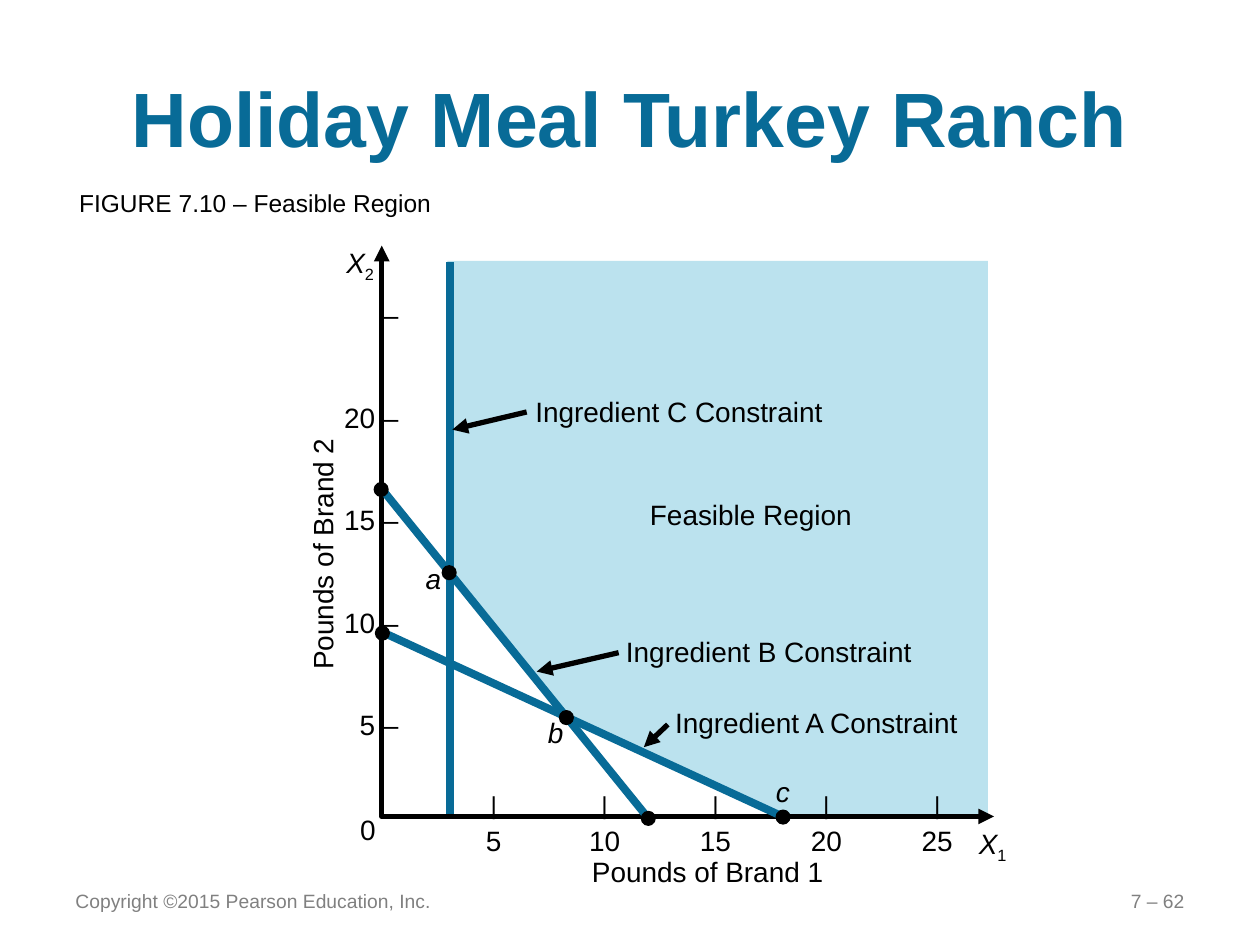
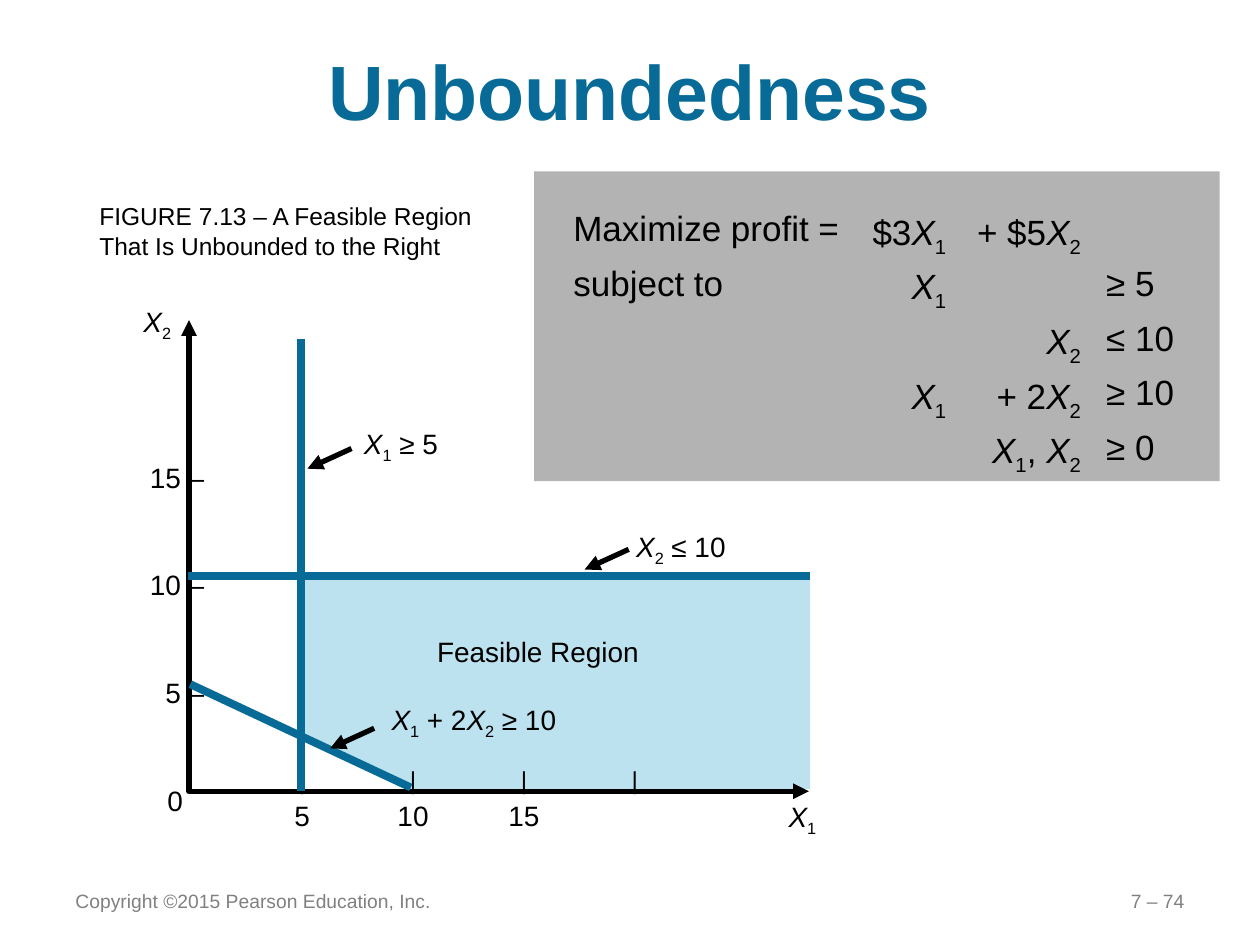
from dataclasses import dataclass

from lxml import etree
from pptx import Presentation
from pptx.dml.color import RGBColor
from pptx.enum import shapes, text
from pptx.oxml import ns
from pptx.util import Inches, Pt

Point = tuple[float, float]


@dataclass(frozen=True)
class Theme:
    font: str = "Arial"
    blue: RGBColor = RGBColor(0x08, 0x6B, 0x97)
    region: RGBColor = RGBColor(0xBB, 0xE2, 0xEE)
    panel: RGBColor = RGBColor(0xB3, 0xB3, 0xB3)
    black: RGBColor = RGBColor(0, 0, 0)
    gray: RGBColor = RGBColor(0x80, 0x80, 0x80)
    title: int = 44
    table: int = 20
    label: int = 16
    small: int = 14
    footer: int = 11
    thick: float = 4.5
    thin: float = 3


THEME = Theme()
LEFT, CENTER, RIGHT = text.PP_ALIGN.LEFT, text.PP_ALIGN.CENTER, text.PP_ALIGN.RIGHT
TOP, MIDDLE = text.MSO_ANCHOR.TOP, text.MSO_ANCHOR.MIDDLE
NO_STYLE_TABLE = "{2D5ABB26-0587-4C30-8999-92F81FD0307C}"
TICK_STEP = 0.88
LABEL_HEIGHT = 0.37


@dataclass(frozen=True)
class Label:
    text: str
    left: float
    top: float
    width: float
    italic: bool = False
    rotation: float = 0
    align: text.PP_ALIGN = LEFT


@dataclass(frozen=True)
class Line:
    start: Point
    end: Point


@dataclass(frozen=True)
class Axes:
    top: Point
    origin: Point
    end: Point
    y_ticks: list[str]
    y_ticks_at: Point
    y_spacing: float
    x_ticks: list[str]
    x_ticks_at: Point
    first_tab: float
    labels: list[Label]


def style_paragraph(paragraph, size: float, color=THEME.black, align=LEFT,
                    bold: bool | None = None, italic: bool | None = None) -> None:
    font = paragraph.font
    font.name, font.size, font.bold, font.italic = THEME.font, Pt(size), bold, italic
    font.color.rgb = color
    paragraph.alignment = align


def write_math(paragraph, content: str) -> None:
    """Write text in which each X is italic and the digit after it a subscript."""
    head, *variables = content.split("X")
    if head:
        paragraph.add_run().text = head
    for part in variables:
        variable = paragraph.add_run()
        variable.text, variable.font.italic = "X", True
        index = paragraph.add_run()
        index.text = part[0]
        index._r.get_or_add_rPr().set("baseline", "-25000")
        if part[1:]:
            paragraph.add_run().text = part[1:]


def add_frame(slide, left: float, top: float, width: float, height: float,
              anchor=TOP, wrap: bool = True):
    box = slide.shapes.add_textbox(Inches(left), Inches(top), Inches(width), Inches(height))
    box.text_frame.word_wrap = wrap
    box.text_frame.vertical_anchor = anchor
    return box


def add_text(slide, content: str, left: float, top: float, width: float, height: float,
             size: float, color=THEME.black, align=LEFT, anchor=TOP, bold=None) -> None:
    paragraph = add_frame(slide, left, top, width, height, anchor).text_frame.paragraphs[0]
    paragraph.add_run().text = content
    style_paragraph(paragraph, size, color, align, bold)


def add_label(slide, label: Label) -> None:
    box = add_frame(slide, label.left, label.top, label.width, LABEL_HEIGHT, wrap=False)
    box.text_frame.auto_size = text.MSO_AUTO_SIZE.SHAPE_TO_FIT_TEXT
    box.rotation = label.rotation
    paragraph = box.text_frame.paragraphs[0]
    write_math(paragraph, label.text)
    style_paragraph(paragraph, THEME.label, align=label.align, italic=label.italic or None)


def add_arrowheads(shape, *ends: str) -> None:
    outline = shape.line._get_or_add_ln()
    for end in ends:
        etree.SubElement(outline, ns.qn(f"a:{end}"), type="triangle")


def add_line(slide, line: Line, color, width: float):
    connector = slide.shapes.add_connector(
        shapes.MSO_CONNECTOR.STRAIGHT, *(Inches(v) for v in line.start + line.end))
    connector.line.color.rgb, connector.line.width = color, Pt(width)
    etree.SubElement(connector._element.spPr, ns.qn("a:effectLst"))
    return connector


def add_constraint(slide, line: Line) -> None:
    add_line(slide, line, THEME.blue, THEME.thick)


def add_pointer(slide, line: Line) -> None:
    add_arrowheads(add_line(slide, line, THEME.black, THEME.thin), "tailEnd")


def add_outline(slide, points: list[Point], close: bool):
    first, *rest = [(Inches(x), Inches(y)) for x, y in points]
    builder = slide.shapes.build_freeform(*first)
    builder.add_line_segments(rest, close=close)
    shape = builder.convert_to_shape()
    shape.shadow.inherit = False
    return shape


def fill_plain(shape, color) -> None:
    shape.shadow.inherit = False
    shape.fill.solid()
    shape.fill.fore_color.rgb = color
    shape.line.fill.background()


def add_region(slide, points: list[Point]) -> None:
    fill_plain(add_outline(slide, points, close=True), THEME.region)


def add_dot(slide, left: float, top: float) -> None:
    dot = slide.shapes.add_shape(shapes.MSO_SHAPE.OVAL, Inches(left), Inches(top),
                                 Inches(0.11), Inches(0.11))
    fill_plain(dot, THEME.black)
    dot.line.color.rgb, dot.line.width = THEME.black, Pt(0.75)


def add_tabs(paragraph, first: float, count: int) -> None:
    tabs = etree.SubElement(paragraph._p.get_or_add_pPr(), ns.qn("a:tabLst"))
    for index in range(count):
        position = Inches(first + index * TICK_STEP)
        etree.SubElement(tabs, ns.qn("a:tab"), pos=str(position), algn="ctr")


def add_axes(slide, axes: Axes) -> None:
    right, top = axes.y_ticks_at
    column = add_frame(slide, right - 0.64, top, 0.64, 3.5).text_frame
    for index, tick in enumerate(axes.y_ticks):
        paragraph = column.add_paragraph() if index else column.paragraphs[0]
        paragraph.add_run().text = f"{tick} –".strip()
        style_paragraph(paragraph, THEME.label, align=RIGHT)
        paragraph.line_spacing = axes.y_spacing

    cross = add_outline(slide, [axes.top, axes.origin, axes.end], close=False)
    cross.fill.background()
    cross.line.color.rgb, cross.line.width = THEME.black, Pt(THEME.thin)
    add_arrowheads(cross, "headEnd", "tailEnd")

    rows = add_frame(slide, *axes.x_ticks_at, 5.2, 0.69).text_frame
    count = len(axes.x_ticks)
    marks, numbers = rows.paragraphs[0], rows.add_paragraph()
    marks.add_run().text = "\t"
    strokes = marks.add_run()
    strokes.text, strokes.font.size = "\t".join("|" * count), Pt(THEME.small)
    numbers.add_run().text = "\t" + "\t".join(axes.x_ticks).rstrip()
    for paragraph in (marks, numbers):
        add_tabs(paragraph, axes.first_tab, count)
        style_paragraph(paragraph, THEME.label)
        paragraph.line_spacing = 1.1
    for label in axes.labels:
        add_label(slide, label)


def add_model_table(slide, rows: list[list[str]]) -> None:
    widths, row_height = [2.34, 0.82, 1.07, 0.79], 0.43
    frame = slide.shapes.add_table(len(rows), len(widths), Inches(4.45), Inches(1.67),
                                   Inches(sum(widths)), Inches(row_height * len(rows)))
    table = frame.table
    table.first_row = table.horz_banding = False
    table._tbl.tblPr.find(ns.qn("a:tableStyleId")).text = NO_STYLE_TABLE
    for column, width in zip(table.columns, widths):
        column.width = Inches(width)
    for row, contents in zip(table.rows, rows):
        row.height = Inches(row_height)
        for index, (cell, content) in enumerate(zip(row.cells, contents)):
            cell.fill.background()
            paragraph = cell.text_frame.paragraphs[0]
            write_math(paragraph, content)
            style_paragraph(paragraph, THEME.table, align=RIGHT if index in (1, 2) else LEFT)
            paragraph.line_spacing = 0.8


def start_slide(presentation, title: str, page: str, anchor):
    slide = presentation.slides.add_slide(presentation.slide_layouts[6])
    add_text(slide, title, 0.5, 0.3, 9, 1.25, THEME.title, THEME.blue, CENTER, anchor, True)
    add_text(slide, "Copyright ©2015 Pearson Education, Inc.", 0.5, 6.95, 3.08, 0.4,
             THEME.footer, THEME.gray, anchor=MIDDLE)
    add_text(slide, page, 7.17, 6.95, 2.33, 0.4, THEME.footer, THEME.gray, RIGHT, MIDDLE)
    return slide


def build_turkey_ranch(presentation) -> None:
    slide = start_slide(presentation, "Holiday Meal Turkey Ranch", "7 – 62", MIDDLE)
    add_text(slide, "FIGURE 7.10 – Feasible Region", 0.53, 1.44, 3.3, 0.34, THEME.small)
    add_region(slide, [(7.84, 6.47), (7.84, 2.07), (3.55, 2.07), (3.55, 4.54),
                       (4.49, 5.7), (6.21, 6.47)])
    add_constraint(slide, Line((3.57, 2.08), (3.57, 6.47)))
    add_axes(slide, Axes(
        top=(3.03, 1.95), origin=(3.03, 6.48), end=(7.89, 6.48),
        y_ticks=["", "20", "15", "10", "5"], y_ticks_at=(3.26, 1.77), y_spacing=3.05,
        x_ticks=["5", "10", "15", "20", "25"], x_ticks_at=(2.74, 6.17), first_tab=1.08,
        labels=[Label("X2", 2.65, 1.9, 0.49), Label("X1", 7.67, 6.51, 0.49),
                Label("0", 2.76, 6.4, 0.31, align=RIGHT),
                Label("Pounds of Brand 2", 1.53, 4.2, 2.06, rotation=270),
                Label("Pounds of Brand 1", 4.6, 6.73, 2.06)]))
    for pointer in (Line((4.18, 3.27), (3.59, 3.41)), Line((5.3, 5.75), (5.11, 5.93)),
                    Line((4.91, 5.18), (4.26, 5.33))):
        add_pointer(slide, pointer)
    for constraint in (Line((3.02, 5.01), (6.21, 6.48)), Line((5.15, 6.5), (3.03, 3.88))):
        add_constraint(slide, constraint)
    for left, top in ((2.98, 4.97), (6.16, 6.43), (2.97, 3.83), (5.09, 6.44),
                      (3.51, 4.49), (4.44, 5.64)):
        add_dot(slide, left, top)
    for label in (Label("Ingredient C Constraint", 4.15, 3.08, 2.51),
                  Label("Ingredient B Constraint", 4.87, 4.99, 2.5),
                  Label("Ingredient A Constraint", 5.26, 5.55, 2.47),
                  Label("Feasible Region", 5.06, 3.9, 1.82),
                  Label("a", 3.28, 4.41, 0.38, italic=True),
                  Label("b", 4.25, 5.63, 0.38, italic=True),
                  Label("c", 6.06, 6.1, 0.37, italic=True)):
        add_label(slide, label)


def build_unboundedness(presentation) -> None:
    slide = start_slide(presentation, "Unboundedness", "7 – 74", TOP)
    panel = slide.shapes.add_shape(shapes.MSO_SHAPE.RECTANGLE, Inches(4.24), Inches(1.36),
                                   Inches(5.44), Inches(2.46))
    fill_plain(panel, THEME.panel)
    add_text(slide, "FIGURE 7.13 – A Feasible Region That Is Unbounded to the Right",
             0.69, 1.55, 3.38, 0.57, THEME.small)
    add_region(slide, [(2.38, 5.83), (2.38, 4.57), (6.43, 4.57), (6.43, 6.26), (3.26, 6.26)])
    add_axes(slide, Axes(
        top=(1.5, 2.54), origin=(1.5, 6.28), end=(6.42, 6.28),
        y_ticks=["15", "10", "5"], y_ticks_at=(1.72, 3.02), y_spacing=3.2,
        x_ticks=["5", "10", "15", ""], x_ticks_at=(1.02, 5.97), first_tab=1.28,
        labels=[Label("X2", 1.04, 2.37, 0.48), Label("X1", 6.16, 6.3, 0.48),
                Label("0", 1.23, 6.17, 0.31, align=RIGHT)]))
    for constraint in (Line((2.39, 2.69), (2.39, 6.28)), Line((1.51, 5.43), (3.26, 6.25)),
                       Line((1.49, 4.57), (6.43, 4.57))):
        add_constraint(slide, constraint)
    for x, y in ((2.79, 3.56), (2.97, 5.78), (4.99, 4.36)):
        add_pointer(slide, Line((x, y), (x - 0.35, y + 0.16)))
    for label in (Label("X1 ≥ 5", 2.79, 3.34, 0.83), Label("X2 ≤ 10", 4.95, 4.15, 0.95),
                  Label("X1 + 2X2 ≥ 10", 3.01, 5.53, 1.57),
                  Label("Feasible Region", 3.37, 4.99, 1.82)):
        add_label(slide, label)
    add_model_table(slide, [["Maximize profit =", "$3X1", "+ $5X2", ""],
                            ["subject to", "X1", "", "≥ 5"],
                            ["", "", "X2", "≤ 10"],
                            ["", "X1", "+ 2X2", "≥ 10"],
                            ["", "", "X1, X2", "≥ 0"]])


def main() -> None:
    presentation = Presentation()
    presentation.slide_width, presentation.slide_height = Inches(10), Inches(7.5)
    build_turkey_ranch(presentation)
    build_unboundedness(presentation)
    presentation.save("out.pptx")


if __name__ == "__main__":
    main()
